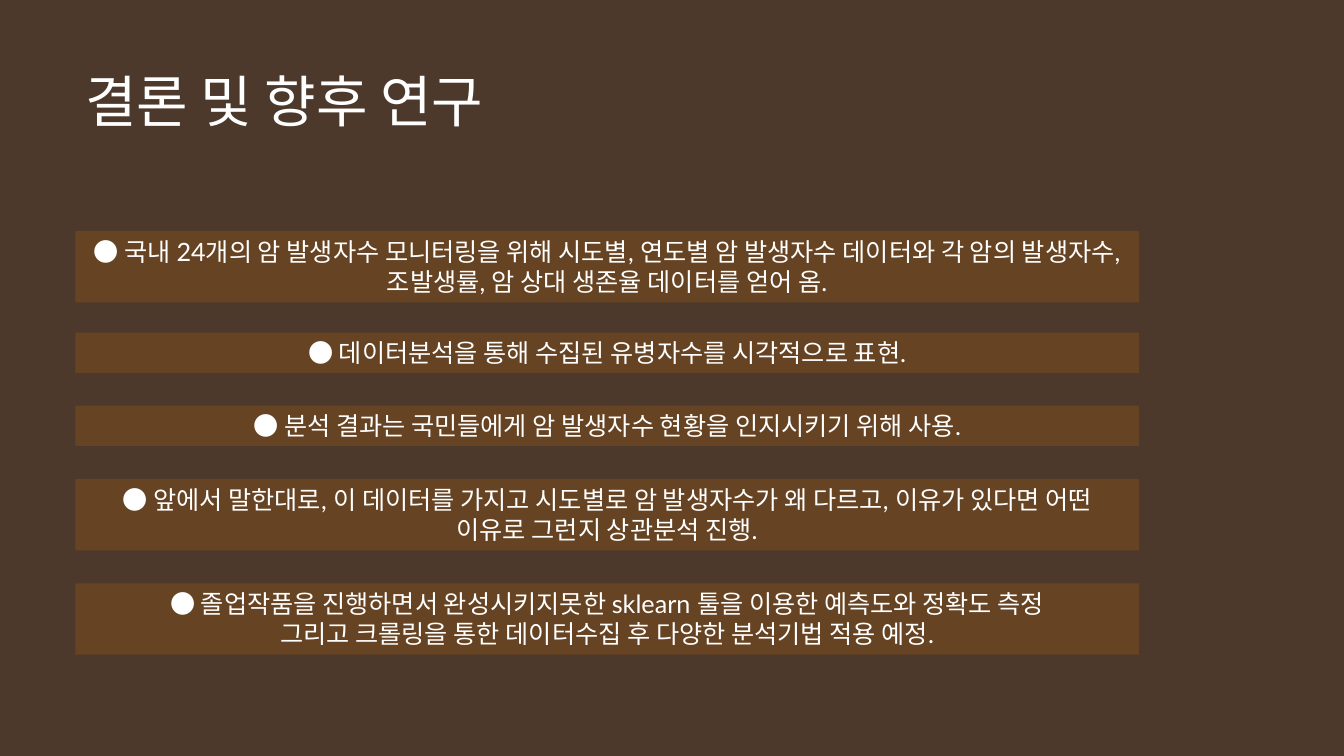
from pptx import Presentation
from pptx.dml.color import RGBColor
from pptx.enum.shapes import MSO_SHAPE as Preset
from pptx.enum.text import MSO_ANCHOR as Anchor, MSO_AUTO_SIZE as AutoSize, PP_ALIGN as Align
from pptx.util import Cm, Pt


def paint(fill, color):
    fill.solid()
    fill.fore_color.rgb = RGBColor.from_string(color)


def write(frame, text, size, align, frame_format):
    frame.text = text
    for name, value in frame_format.items():
        setattr(frame, name, value)
    for para in frame.paragraphs:
        para.alignment = align
        for span in para.runs:
            for name, value in {"name": "Lato", "size": Pt(size)}.items():
                setattr(span.font, name, value)
            paint(span.font.fill, "FFFFFF")


LEFT = 1.9
TALL, SHORT = 1.8, 1.02
CONCLUSIONS = [
    (5.82, TALL, "● 국내 24개의 암 발생자수 모니터링을 위해 시도별, 연도별 암 발생자수 데이터와 각 암의 발생자수, 조발생률, 암 상대 생존율 데이터를 얻어 옴."),
    (8.38, SHORT, "● 데이터분석을 통해 수집된 유병자수를 시각적으로 표현."),
    (10.22, SHORT, "● 분석 결과는 국민들에게 암 발생자수 현황을 인지시키기 위해 사용."),
    (12.07, TALL, "● 앞에서 말한대로, 이 데이터를 가지고 시도별로 암 발생자수가 왜 다르고, 이유가 있다면 어떤 이유로 그런지 상관분석 진행."),
    (14.7, TALL, "● 졸업작품을 진행하면서 완성시키지못한 sklearn 툴을 이용한 예측도와 정확도 측정\n그리고 크롤링을 통한 데이터수집 후 다양한 분석기법 적용 예정."),
]

deck = Presentation()
deck.slide_width, deck.slide_height = Cm(33.87), Cm(19.05)
page = deck.slides.add_slide(deck.slide_layouts[5])
paint(page.background.fill, "4C392B")

title = page.shapes.title
title_place = {"left": Cm(LEFT), "top": Cm(1.55), "width": Cm(11.07), "height": Cm(1.96)}
for name, value in title_place.items():
    setattr(title, name, value)
title_format = {"word_wrap": False, "vertical_anchor": Anchor.TOP, "auto_size": AutoSize.SHAPE_TO_FIT_TEXT}
write(title.text_frame, "결론 및 향후 연구", 40, Align.LEFT, title_format)

box_format = {"word_wrap": True, "vertical_anchor": Anchor.TOP, "auto_size": AutoSize.SHAPE_TO_FIT_TEXT}
for top, height, text in CONCLUSIONS:
    box = page.shapes.add_shape(Preset.RECTANGLE, Cm(LEFT), Cm(top), Cm(26.8), Cm(height))
    box.shadow.inherit = False
    box.line.fill.background()
    paint(box.fill, "664322")
    write(box.text_frame, text, 18, Align.CENTER, box_format)

deck.save("out.pptx")
